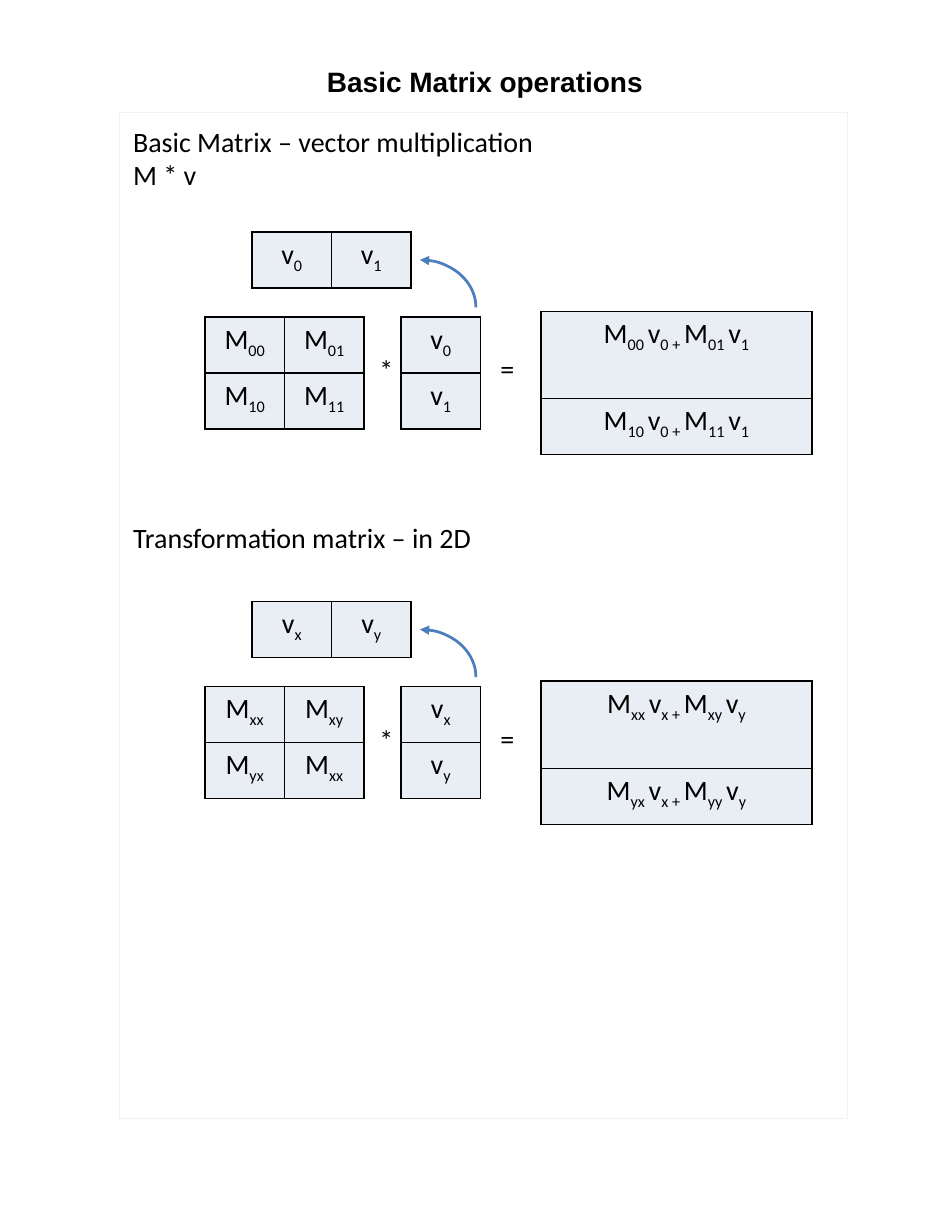
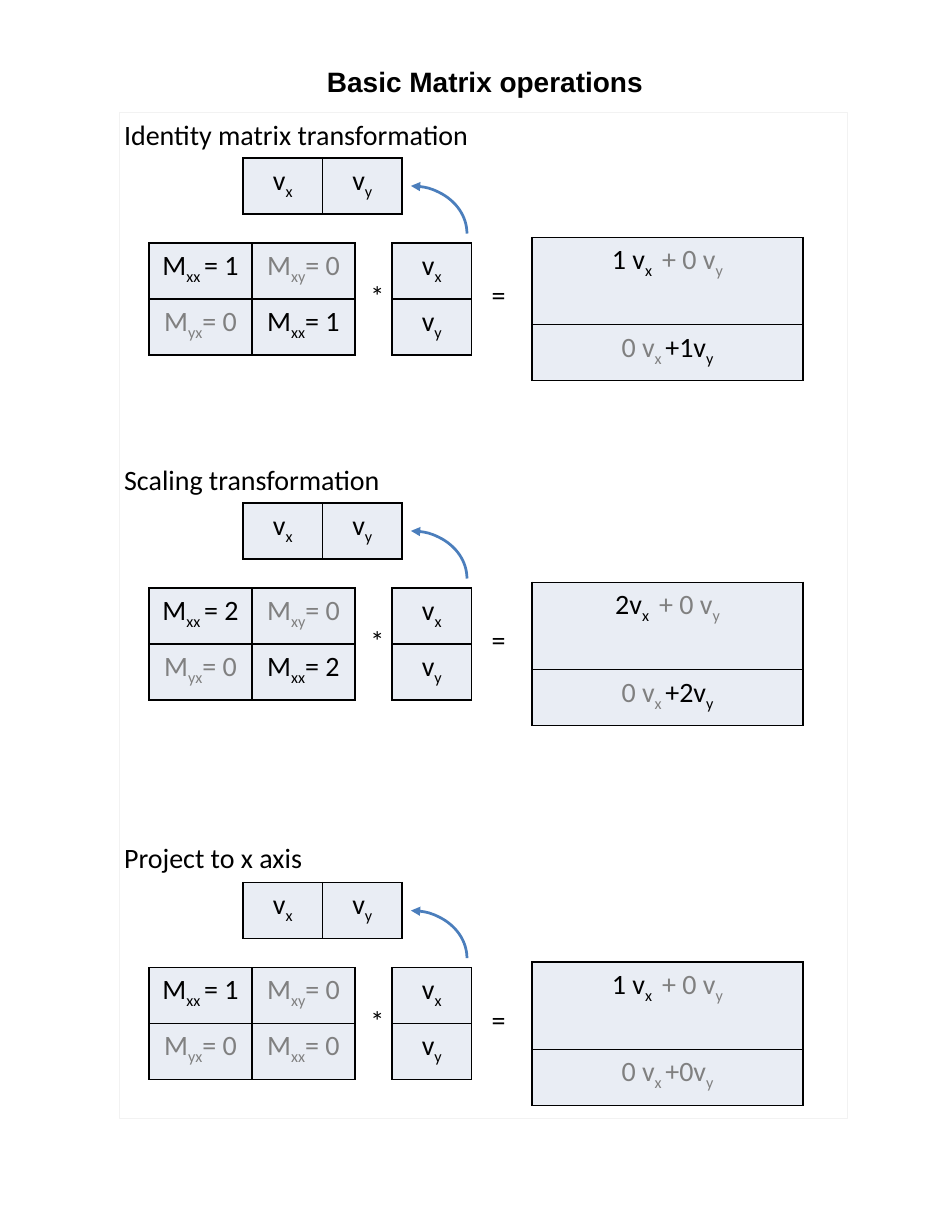
from dataclasses import dataclass

from pptx import Presentation
from pptx.dml.color import RGBColor
from pptx.enum.shapes import MSO_SHAPE as Shape
from pptx.enum.text import MSO_AUTO_SIZE as AutoSize, PP_ALIGN as Align
from pptx.oxml import parse_xml
from pptx.oxml.ns import nsdecls
from pptx.slide import Slide
from pptx.util import Inches, Pt

BLACK = RGBColor(0x00, 0x00, 0x00)
GREY = RGBColor(0x80, 0x80, 0x80)
CELL_FILL = RGBColor(0xE9, 0xED, 0xF4)
ARROW_BLUE = RGBColor(0x4B, 0x7E, 0xBC)
FRAME_GREY = RGBColor(0xF2, 0xF2, 0xF2)
TITLE_FONT = "Arial"
BODY_FONT = "Calibri"
TEXT_SIZE = Pt(18)
CELL = 0.71
ROW = 0.5
RESULT_WIDTH = 2.42
RESULT_ROWS = (0.78, ROW)


@dataclass(frozen=True)
class Span:
    text: str
    color: RGBColor = BLACK
    lowered: bool = False


Formula = list[Span]
Grid = list[list[Formula]]


@dataclass(frozen=True)
class Heading:
    left: float
    top: float
    width: float
    lines: tuple[str, ...]


@dataclass(frozen=True)
class Product:
    """A matrix times a vector; x is the matrix's right edge, y the top of the flat vector."""
    x: float
    y: float
    matrix: Grid
    matrix_cell: float
    vector: list[Formula]
    result: list[Formula]


def indexed(symbol: str, index: str, color: RGBColor = BLACK) -> Formula:
    return [Span(symbol, color), Span(index, color, lowered=True)]


def shade(value: int) -> RGBColor:
    return BLACK if value else GREY


def entry(index: str, value: int) -> Formula:
    color = shade(value)
    return [*indexed("M", index, color), Span(f"= {value}", color)]


def weighted_sum(first: str, second: str, axes: str) -> Formula:
    return [*indexed("M", f"{first} "), *indexed("v", f"{axes[0]} + "),
            *indexed("M", f"{second} "), *indexed("v", axes[1])]


def vector_of(axes: str) -> list[Formula]:
    return [indexed("v", axis) for axis in axes]


def symbolic_product(y: float, axes: str, corner: str) -> Product:
    """General product; corner is the index shown in the matrix's last cell."""
    a, b = axes
    return Product(
        3.25, y,
        [[indexed("M", a + a), indexed("M", a + b)],
         [indexed("M", b + a), indexed("M", corner)]],
        CELL, vector_of(axes),
        [weighted_sum(a + a, a + b, axes), weighted_sum(b + a, b + b, axes)])


def diagonal_product(y: float, x_scale: int, y_scale: int, x_term: str) -> Product:
    return Product(
        3.17, y,
        [[entry("xx ", x_scale), entry("xy", 0)],
         [entry("yx", 0), entry("xx", y_scale)]],
        0.92, vector_of("xy"),
        [indexed(x_term, "x ") + indexed(" + 0 v", "y", GREY),
         indexed("0 v", "x ", GREY) + indexed(f"+{y_scale}v", "y", shade(y_scale))])


def add_span(para, span: Span, font_name: str = BODY_FONT, bold: bool = False) -> None:
    run = para.add_run()
    run.text = span.text
    font = run.font
    font.name, font.size, font.bold = font_name, TEXT_SIZE, bold
    font.color.rgb = span.color
    if span.lowered:
        run._r.get_or_add_rPr().set("baseline", "-25000")


def add_label(page: Slide, left: float, top: float, width: float, *lines: str) -> None:
    height = 0.1 + 0.3 * len(lines)
    box = page.shapes.add_textbox(Inches(left), Inches(top), Inches(width), Inches(height))
    frame = box.text_frame
    frame.word_wrap = False
    frame.auto_size = AutoSize.SHAPE_TO_FIT_TEXT
    for number, line in enumerate(lines):
        para = frame.add_paragraph() if number else frame.paragraphs[0]
        add_span(para, Span(line))


def add_borders(cell) -> None:
    properties = cell._tc.get_or_add_tcPr()
    for side in "LRTB":
        properties.append(parse_xml(
            f'<a:ln{side} {nsdecls("a")} w="{Pt(1)}"><a:solidFill>'
            f'<a:srgbClr val="{BLACK}"/></a:solidFill></a:ln{side}>'))


def add_grid(page: Slide, left: float, top: float, grid: Grid, cell_width: float,
             heights: tuple[float, ...] = (ROW, ROW)) -> None:
    columns = len(grid[0])
    heights = heights[:len(grid)]
    table = page.shapes.add_table(
        len(grid), columns, Inches(left), Inches(top),
        Inches(cell_width * columns), Inches(sum(heights))).table
    table.first_row = table.horz_banding = False
    for column in table.columns:
        column.width = Inches(cell_width)
    for row, height, formulas in zip(table.rows, heights, grid):
        row.height = Inches(height)
        for cell, formula in zip(row.cells, formulas):
            add_borders(cell)
            cell.fill.solid()
            cell.fill.fore_color.rgb = CELL_FILL
            para = cell.text_frame.paragraphs[0]
            para.alignment = Align.CENTER
            for span in formula:
                add_span(para, span)


def add_turn_arrow(page: Slide, left: float, top: float) -> None:
    arc = page.shapes.add_shape(Shape.ARC, Inches(left), Inches(top), Inches(1), Inches(0.85))
    arc.shadow.inherit = False
    arc.fill.background()
    arc.line.color.rgb = ARROW_BLUE
    arc.line.width = Pt(1.75)
    arc.line._get_or_add_ln().append(
        parse_xml(f'<a:headEnd {nsdecls("a")} type="triangle"/>'))


def add_product(page: Slide, product: Product) -> None:
    x, y = product.x, product.y
    add_grid(page, x - 2 * product.matrix_cell, y + 0.76, product.matrix, product.matrix_cell)
    add_grid(page, x + 0.33, y + 0.76, [[item] for item in product.vector], CELL)
    add_grid(page, x - 1, y, [product.vector], CELL)
    add_turn_arrow(page, x, y + 0.25)
    add_grid(page, x + 1.58, y + 0.71, [[item] for item in product.result],
             RESULT_WIDTH, RESULT_ROWS)
    add_label(page, x + 0.04, y + 1.03, 0.3, "*")
    add_label(page, x + 1.12, y + 1.02, 0.35, "=")


def add_page(deck, title: str) -> Slide:
    page = deck.slides.add_slide(deck.slide_layouts[6])
    frame = page.shapes.add_shape(
        Shape.RECTANGLE, Inches(1.07), Inches(1), Inches(6.5), Inches(8.99))
    frame.shadow.inherit = False
    frame.fill.background()
    frame.line.color.rgb = FRAME_GREY
    frame.line.width = Pt(0.5)
    box = page.shapes.add_textbox(Inches(1.08), Inches(0.58), Inches(6.5), Inches(0.3))
    text = box.text_frame
    text.word_wrap = True
    text.margin_left = text.margin_right = text.margin_top = text.margin_bottom = 0
    para = text.paragraphs[0]
    para.alignment = Align.CENTER
    add_span(para, Span(title), TITLE_FONT, bold=True)
    return page


PAGES = [
    [(Heading(1.09, 1.06, 4.07, ("Basic Matrix – vector multiplication", "M * v")),
      symbolic_product(2.07, "01", "11")),
     (Heading(1.09, 4.6, 3.53, ("Transformation matrix – in 2D",)),
      symbolic_product(5.37, "xy", "xx"))],
    [(Heading(1.01, 1, 3.46, ("Identity matrix transformation",)),
      diagonal_product(1.41, 1, 1, "1 v")),
     (Heading(1.01, 4.08, 2.71, ("Scaling transformation",)),
      diagonal_product(4.49, 2, 2, "2v")),
     (Heading(1.01, 7.46, 1.98, ("Project to x axis",)),
      diagonal_product(7.88, 1, 0, "1 v"))],
]


def main() -> None:
    deck = Presentation()
    deck.slide_width, deck.slide_height = Inches(8.5), Inches(11)
    for sections in PAGES:
        page = add_page(deck, "Basic Matrix operations")
        for heading, product in sections:
            add_product(page, product)
            add_label(page, heading.left, heading.top, heading.width, *heading.lines)
    deck.save("out.pptx")


if __name__ == "__main__":
    main()
